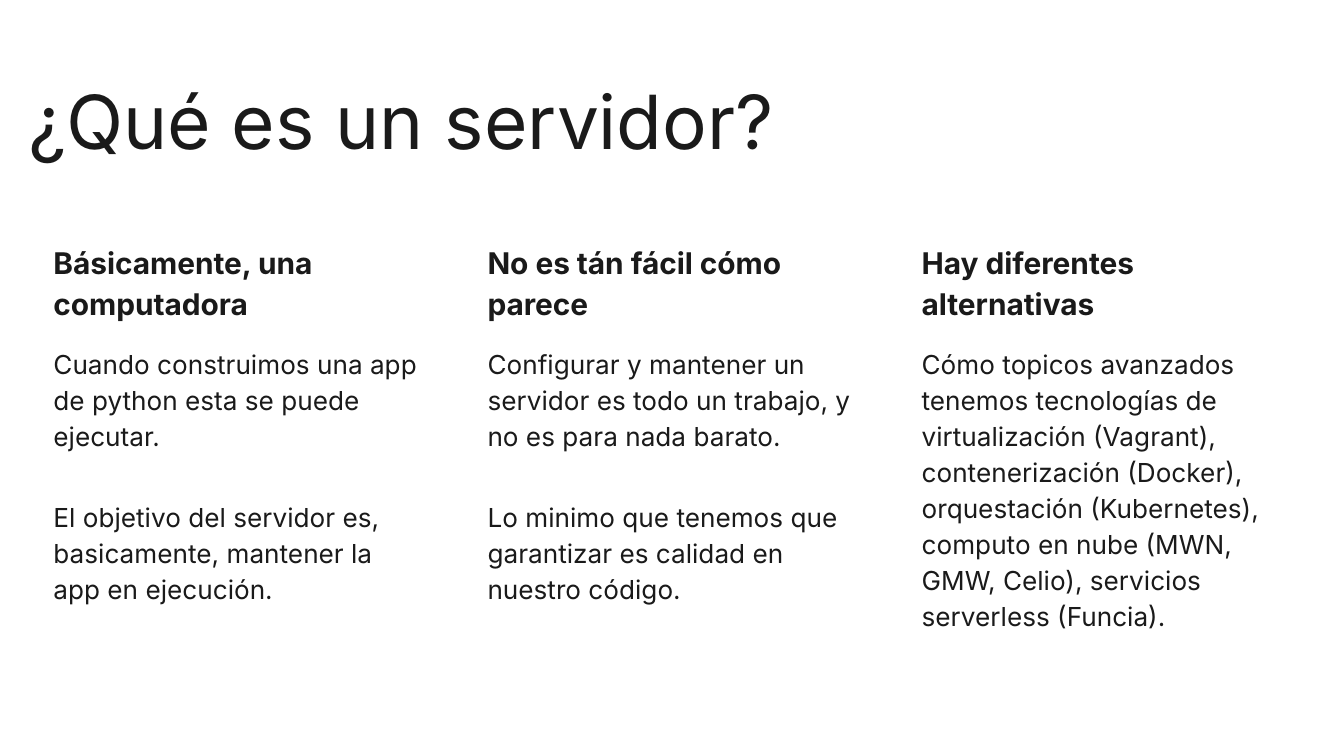
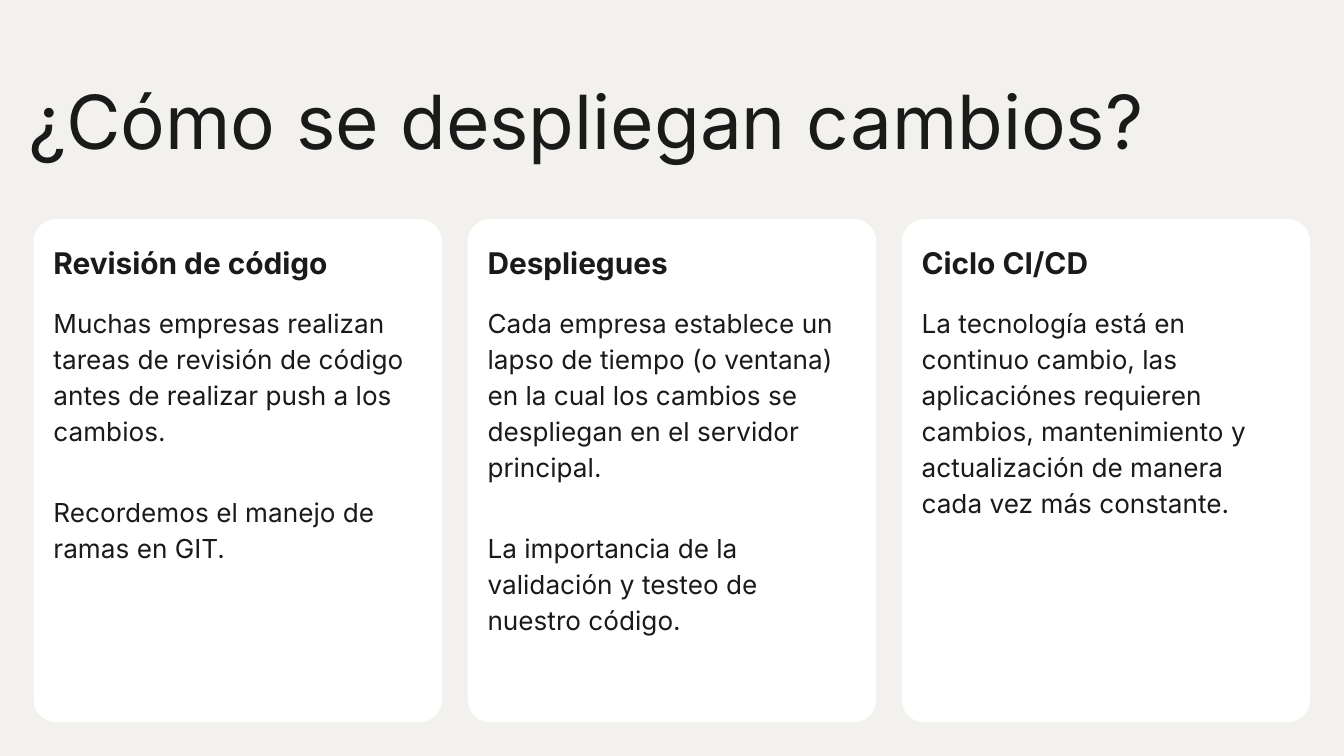
"""Builds two Spanish slides on servers and deployment, each with a title and three cards."""
import pptx
import pptx.dml.color
import pptx.enum.shapes
import pptx.enum.text
import pptx.util

COLORS = {"ink": "1A1A1A", "card": "FFFFFF", "white": "FFFFFF", "sand": "F2F1EE"}
FONT = "Inter"
TITLE_SIZE, HEADING_SIZE, BODY_SIZE = 40, 16, 14
SLIDE_WIDTH = 10
SLIDE_HEIGHT = SLIDE_WIDTH * 9 / 16
MARGIN, GAP, COLUMNS = 0.25, 0.19, 3
CARD_TOP = 1.63
CARD_HEIGHT = SLIDE_HEIGHT - MARGIN - CARD_TOP
CARD_WIDTH = (SLIDE_WIDTH - 2 * MARGIN - (COLUMNS - 1) * GAP) / COLUMNS
TITLE_BOX = (0.11, 0.46, 9.32, 0.88)
INSET = 0.1

SLIDES = [
    {
        "title": "¿Qué es un servidor?",
        "background": "white",
        "cards": [
            ("Básicamente, una computadora", [
                "Cuando construimos una app de python esta se puede ejecutar.",
                "El objetivo del servidor es, basicamente, mantener la app en ejecución.",
            ]),
            ("No es tán fácil cómo parece", [
                "Configurar y mantener un servidor es todo un trabajo, y no es para nada barato.",
                "Lo minimo que tenemos que garantizar es calidad en nuestro código.",
            ]),
            ("Hay diferentes alternativas", [
                "Cómo topicos avanzados tenemos tecnologías de virtualización (Vagrant), "
                "contenerización (Docker), orquestación (Kubernetes), computo en nube "
                "(MWN, GMW, Celio), servicios serverless (Funcia).",
            ]),
        ],
    },
    {
        "title": "¿Cómo se despliegan cambios?",
        "background": "sand",
        "cards": [
            ("Revisión de código", [
                "Muchas empresas realizan tareas de revisión de código antes de realizar "
                "push a los cambios.",
                "Recordemos el manejo de ramas en GIT.",
            ]),
            ("Despliegues", [
                "Cada empresa establece un lapso de tiempo (o ventana) en la cual los "
                "cambios se despliegan en el servidor principal.",
                "La importancia de la validación y testeo de nuestro código.",
            ]),
            ("Ciclo CI/CD", [
                "La tecnología está en continuo cambio, las aplicaciónes requieren cambios, "
                "mantenimiento y actualización de manera cada vez más constante.",
            ]),
        ],
    },
]


def paint(fill, color):
    fill.solid()
    fill.fore_color.rgb = pptx.dml.color.RGBColor.from_string(COLORS[color])


def prepare_frame(frame, bottom):
    frame.word_wrap = True
    frame.auto_size = pptx.enum.text.MSO_AUTO_SIZE.NONE
    frame.vertical_anchor = pptx.enum.text.MSO_ANCHOR.TOP
    frame.margin_left = frame.margin_right = frame.margin_top = pptx.util.Inches(INSET)
    frame.margin_bottom = pptx.util.Inches(bottom)


def write(paragraph, text, size, bold=False):
    paragraph.alignment = pptx.enum.text.PP_ALIGN.LEFT
    run = paragraph.add_run()
    run.text = text
    run.font.name = FONT
    run.font.size = pptx.util.Pt(size)
    run.font.bold = bold
    run.font.color.rgb = pptx.dml.color.RGBColor.from_string(COLORS["ink"])


def add_title(slide, text):
    title = slide.shapes.title
    title.left, title.top, title.width, title.height = map(pptx.util.Inches, TITLE_BOX)
    prepare_frame(title.text_frame, INSET)
    write(title.text_frame.paragraphs[0], text, TITLE_SIZE)


def add_card(slide, column, heading, body):
    left = MARGIN + column * (CARD_WIDTH + GAP)
    box = map(pptx.util.Inches, (left, CARD_TOP, CARD_WIDTH, CARD_HEIGHT))
    card = slide.shapes.add_shape(pptx.enum.shapes.MSO_SHAPE.ROUNDED_RECTANGLE, *box)
    card.adjustments[0] = 0.056
    card.shadow.inherit = False
    paint(card.fill, "card")
    card.line.fill.background()
    frame = card.text_frame
    prepare_frame(frame, 0)
    write(frame.paragraphs[0], heading, HEADING_SIZE, bold=True)
    frame.paragraphs[0].line_spacing = 1.15
    for text in body:
        paragraph = frame.add_paragraph()
        paragraph.line_spacing = 1.15
        paragraph.space_before = paragraph.space_after = pptx.util.Pt(12)
        write(paragraph, text, BODY_SIZE)


def main():
    presentation = pptx.Presentation()
    presentation.slide_width = pptx.util.Inches(SLIDE_WIDTH)
    presentation.slide_height = pptx.util.Inches(SLIDE_HEIGHT)
    for content in SLIDES:
        slide = presentation.slides.add_slide(presentation.slide_layouts[5])
        paint(slide.background.fill, content["background"])
        add_title(slide, content["title"])
        for column, (heading, body) in enumerate(content["cards"]):
            add_card(slide, column, heading, body)
    presentation.save("out.pptx")


if __name__ == "__main__":
    main()
